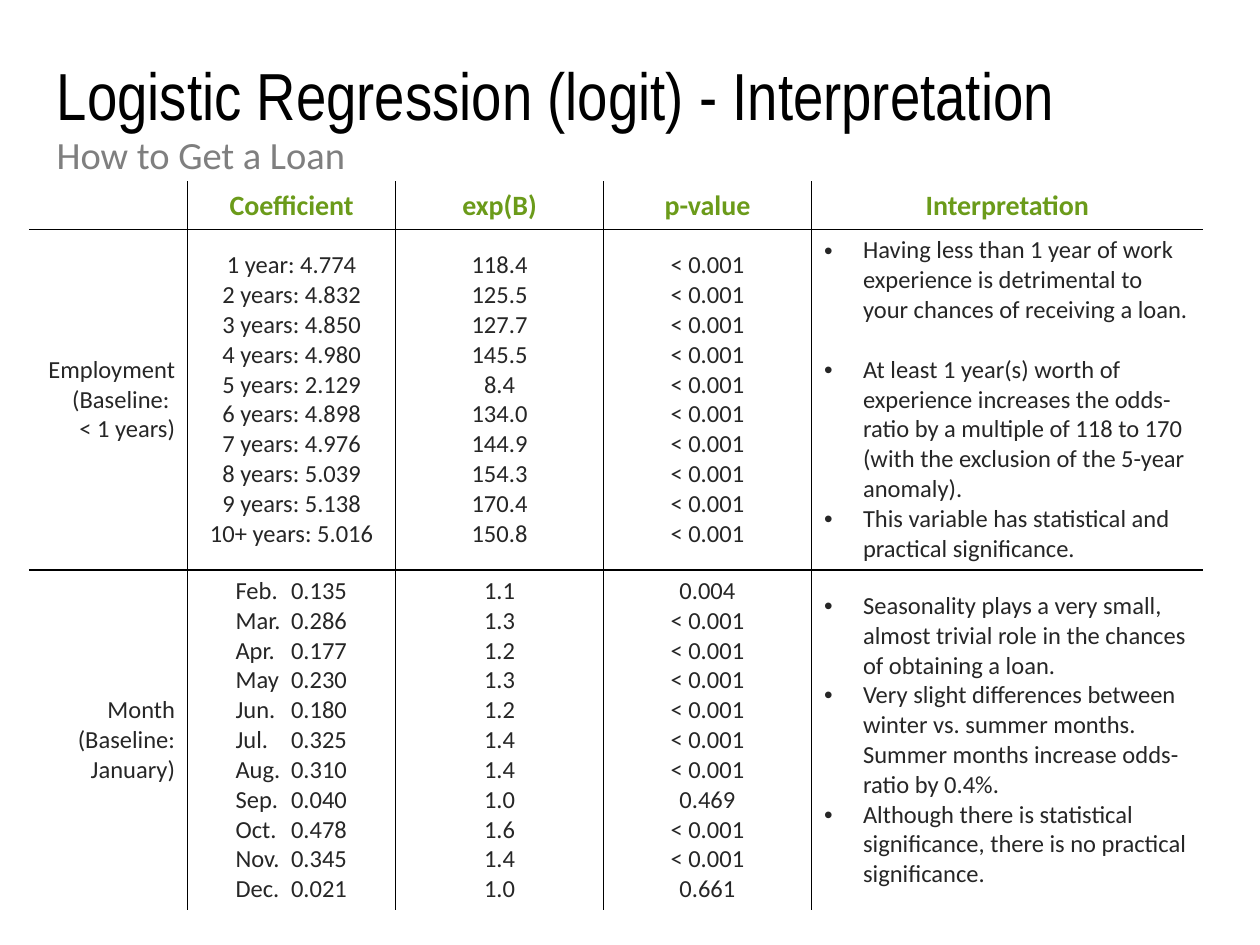
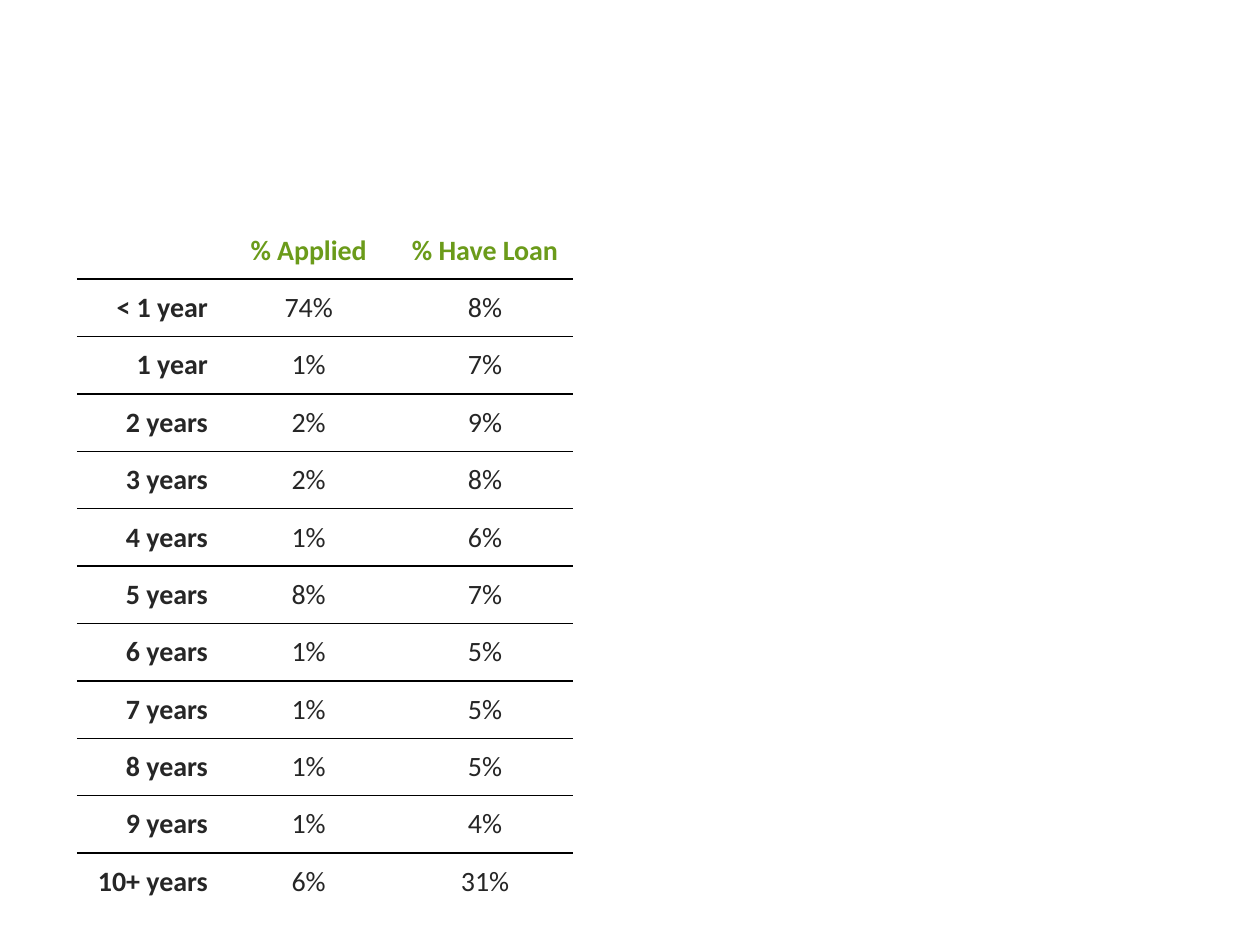
from dataclasses import dataclass

from lxml.etree import SubElement
from pptx import Presentation
from pptx.dml.color import RGBColor
from pptx.enum.text import MSO_ANCHOR, MSO_AUTO_SIZE, PP_ALIGN
from pptx.oxml.ns import qn
from pptx.util import Inches, Pt


@dataclass(frozen=True)
class Theme:
    title_font: str = "Arial Narrow"
    body_font: str = "Calibri"
    black: str = "000000"
    grey: str = "7F7F7F"
    green: str = "6B9B1A"
    ink: str = "262626"
    title_size: int = 38
    subtitle_size: int = 22
    header_size: int = 16
    detail_size: int = 14
    border_width: int = 1


TITLE_ONLY, BLANK = 5, 6
CENTER, LEFT, RIGHT = PP_ALIGN.CENTER, PP_ALIGN.LEFT, PP_ALIGN.RIGHT

YEARS = ["1 year"] + [f"{n} years" for n in range(2, 10)] + ["10+ years"]
MONTHS = "Feb. Mar. Apr. May Jun. Jul. Aug. Sep. Oct. Nov. Dec.".split()

YEAR_COEFFICIENTS = "4.774 4.832 4.850 4.980 2.129 4.898 4.976 5.039 5.138 5.016".split()
YEAR_ODDS = "118.4 125.5 127.7 145.5 8.4 134.0 144.9 154.3 170.4 150.8".split()
MONTH_COEFFICIENTS = "0.135 0.286 0.177 0.230 0.180 0.325 0.310 0.040 0.478 0.345 0.021".split()
MONTH_ODDS = "1.1 1.3 1.2 1.3 1.2 1.4 1.4 1.0 1.6 1.4 1.0".split()
SIGNIFICANT = "< 0.001"
MONTH_P_VALUES = ["0.004"] + [SIGNIFICANT] * 6 + ["0.469"] + [SIGNIFICANT] * 2 + ["0.661"]

EMPLOYMENT_NOTES = [
    "Having less than 1 year of work experience is detrimental to your chances of receiving a loan.",
    "At least 1 year(s) worth of experience increases the odds-ratio by a multiple of 118 to 170 "
    "(with the exclusion of the 5-year anomaly).",
    "This variable has statistical and practical significance.",
]
MONTH_NOTES = [
    "Seasonality plays a very small, almost trivial role in the chances of obtaining a loan.",
    "Very slight differences between winter vs. summer months. "
    "Summer months increase odds-ratio by 0.4%.",
    "Although there is statistical significance, there is no practical significance.",
]

APPLIED = [74, 1, 2, 2, 1, 8, 1, 1, 1, 1, 6]
HAVE_LOAN = [8, 7, 9, 8, 6, 7, 5, 5, 5, 4, 31]


class Builder:
    def __init__(self, theme):
        self.theme = theme
        self.deck = Presentation()
        self.deck.slide_width = Inches(10)
        self.deck.slide_height = Inches(7.5)
        self.page = None

    def new_page(self, layout):
        self.page = self.deck.slides.add_slide(self.deck.slide_layouts[layout])

    def style(self, para, size, color, font=None, bold=False, align=LEFT):
        para.alignment = align
        para.font.name = font or self.theme.body_font
        para.font.size = Pt(size)
        para.font.bold = bold
        para.font.color.rgb = RGBColor.from_string(color)

    def heading(self, box, text, top, height, size, color, font):
        box.left, box.top = Inches(0.45), Inches(top)
        box.width, box.height = Inches(9.1), Inches(height)
        frame = box.text_frame
        frame.text = text
        frame.word_wrap = True
        frame.auto_size = MSO_AUTO_SIZE.NONE
        frame.vertical_anchor = MSO_ANCHOR.TOP
        frame.margin_left = 0
        para = frame.paragraphs[0]
        para.line_spacing = 0.9
        self.style(para, size, color, font)

    def title(self, text):
        theme = self.theme
        self.heading(self.page.shapes.title, text, 0.45, 1.17,
                     theme.title_size, theme.black, theme.title_font)

    def subtitle(self, text):
        theme = self.theme
        box = self.page.shapes.add_textbox(0, 0, 0, 0)
        self.heading(box, text, 1.03, 0.59, theme.subtitle_size, theme.grey, theme.body_font)

    def table(self, left, top, height, widths, row_count, vertical_rules):
        """Add an unfilled table with black rules between its cells only."""
        column_count = len(widths)
        frame = self.page.shapes.add_table(row_count, column_count, Inches(left), Inches(top),
                                           Inches(sum(widths)), Inches(height))
        table = frame.table
        table.first_row = table.horz_banding = False
        for column, width in zip(table.columns, widths):
            column.width = Inches(width)
        for row in range(row_count):
            for column in range(column_count):
                cell = table.cell(row, column)
                self.border(cell, "L", vertical_rules and column > 0)
                self.border(cell, "R", vertical_rules and column < column_count - 1)
                self.border(cell, "T", row > 0)
                self.border(cell, "B", row < row_count - 1)
                cell.fill.background()
        return table

    def border(self, cell, side, visible):
        properties = cell._tc.get_or_add_tcPr()
        line = SubElement(properties, qn(f"a:ln{side}"), w=str(Pt(self.theme.border_width)))
        if visible:
            fill = SubElement(line, qn("a:solidFill"))
            SubElement(fill, qn("a:srgbClr"), val=self.theme.black)
        else:
            SubElement(line, qn("a:noFill"))

    def fill_cell(self, cell, lines, size, color, bold=False, align=CENTER,
                  anchor=MSO_ANCHOR.MIDDLE):
        cell.text = "\n".join(lines)
        cell.vertical_anchor = anchor
        for para in cell.text_frame.paragraphs:
            self.style(para, size, color, bold=bold, align=align)

    def header(self, table, labels, anchor):
        table.cell(0, 0).margin_top = table.cell(0, 0).margin_bottom = 0
        for column, label in enumerate(labels, start=1):
            self.fill_cell(table.cell(0, column), [label], self.theme.header_size,
                           self.theme.green, bold=True, anchor=anchor)

    def detail(self, cell, lines, align=CENTER):
        self.fill_cell(cell, lines, self.theme.detail_size, self.theme.ink, align=align)

    def bullets(self, cell, lines):
        self.detail(cell, lines, LEFT)
        for para in cell.text_frame.paragraphs:
            properties = para._p.get_or_add_pPr()
            properties.set("marL", str(Inches(0.31)))
            properties.set("indent", str(-Inches(0.31)))
            self.before_font(properties, "a:buFont", typeface="Arial")
            self.before_font(properties, "a:buChar", char="•")

    def tabbed(self, cell, pairs):
        """Set label and value pairs as two aligned columns in one cell."""
        self.detail(cell, [f"{label}\t{value}" for label, value in pairs], LEFT)
        cell.margin_left = Inches(0.38)
        for para in cell.text_frame.paragraphs:
            stops = self.before_font(para._p.get_or_add_pPr(), "a:tabLst")
            SubElement(stops, qn("a:tab"), pos=str(Inches(0.44)), algn="l")

    @staticmethod
    def before_font(properties, tag, **attributes):
        """Add a paragraph property in its place ahead of the default font."""
        element = SubElement(properties, qn(tag), **attributes)
        properties.find(qn("a:defRPr")).addprevious(element)
        return element


def interpretation_page(builder):
    builder.new_page(TITLE_ONLY)
    builder.title("Logistic Regression (logit) - Interpretation")
    builder.subtitle("How to Get a Loan")
    table = builder.table(0.23, 1.44, 5.78, [1.26, 1.65, 1.65, 1.65, 3.11], 3, True)
    for row, height in zip(table.rows, [0.38, 2.7, 2.7]):
        row.height = Inches(height)
    builder.header(table, ["Coefficient", "exp(B)", "p-value", "Interpretation"],
                   MSO_ANCHOR.BOTTOM)

    groups = [
        (["Employment (Baseline: ", "< 1 years)"], YEAR_ODDS,
         [SIGNIFICANT] * len(YEARS), EMPLOYMENT_NOTES),
        (["Month", "(Baseline: January)"], MONTH_ODDS, MONTH_P_VALUES, MONTH_NOTES),
    ]
    for row, (variable, odds, p_values, notes) in enumerate(groups, start=1):
        builder.detail(table.cell(row, 0), variable, RIGHT)
        builder.detail(table.cell(row, 2), odds)
        builder.detail(table.cell(row, 3), p_values)
        builder.bullets(table.cell(row, 4), notes)
    builder.detail(table.cell(1, 1),
                   [f"{year}: {value}" for year, value in zip(YEARS, YEAR_COEFFICIENTS)])
    builder.tabbed(table.cell(2, 1), zip(MONTHS, MONTH_COEFFICIENTS))
    table.cell(1, 4).text_frame.paragraphs[0].space_after = Pt(17)


def loan_share_page(builder):
    theme = builder.theme
    builder.new_page(BLANK)
    labels = ["< 1 year"] + YEARS
    table = builder.table(0.61, 1.76, 5.47, [1.14, 1.4, 1.4], len(labels) + 1, False)
    builder.header(table, ["% Applied", "% Have Loan"], MSO_ANCHOR.MIDDLE)
    for row, (label, *shares) in enumerate(zip(labels, APPLIED, HAVE_LOAN), start=1):
        builder.fill_cell(table.cell(row, 0), [label], theme.header_size, theme.ink,
                          bold=True, align=RIGHT)
        for column, share in enumerate(shares, start=1):
            builder.fill_cell(table.cell(row, column), [f"{share}%"],
                              theme.header_size, theme.ink)


def main():
    builder = Builder(Theme())
    interpretation_page(builder)
    loan_share_page(builder)
    builder.deck.save("out.pptx")


if __name__ == "__main__":
    main()
